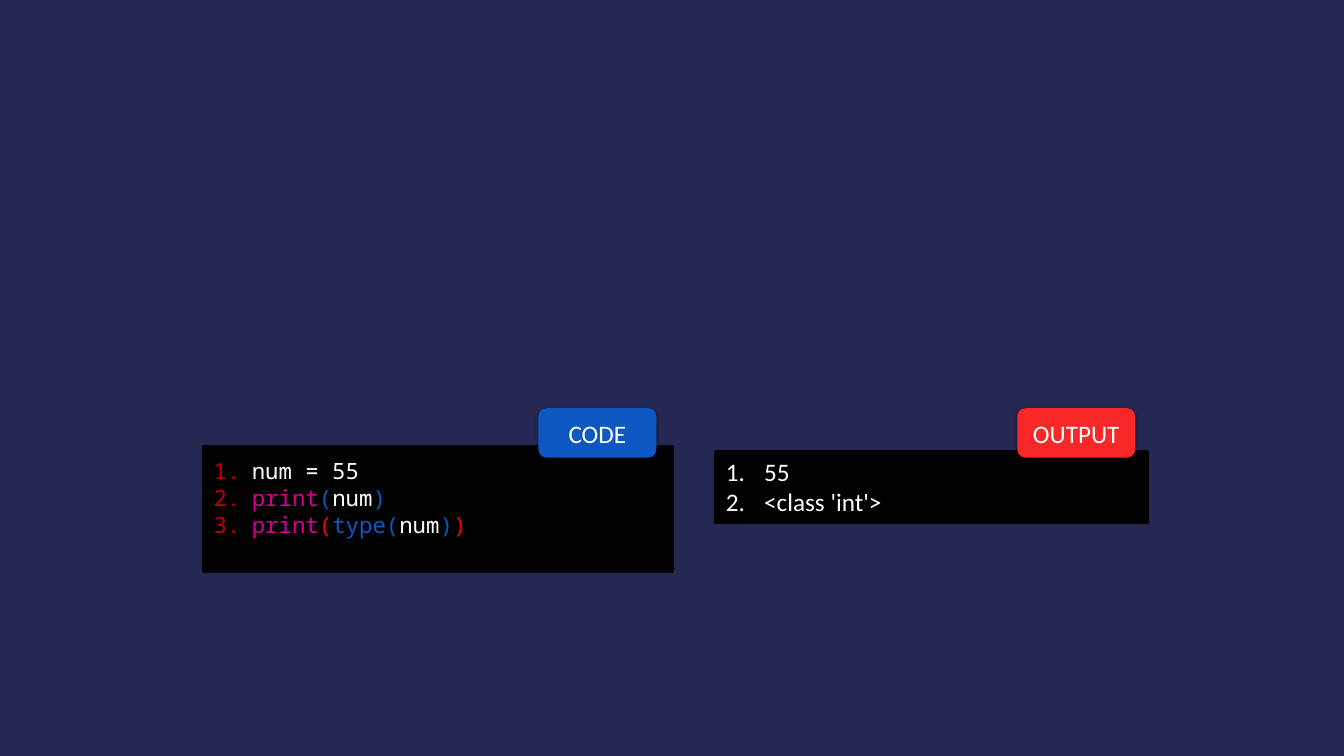
import pptx
import pptx.util
import pptx.dml.color
import pptx.enum.shapes
import pptx.enum.text
import pptx.oxml
import pptx.oxml.ns

HUES = {"back": "242852", "black": "000000", "white": "FFFFFF", "blue": "0E58C4",
        "red": "F82828", "pink": "D60093", "brace": "FF0000", "count": "C00000"}
CODE = [
    [("num = 55 ", "white")],
    [("print", "pink"), ("(", "blue"), ("num", "white"), (")", "blue")],
    [("print", "pink"), ("(", "brace"), ("type(", "blue"), ("num", "white"),
     (")", "blue"), (")", "brace")],
]
RESULT = [[("55", "white")], [("<class 'int'>", "white")]]

# Boxes are left, top, width, height in inches.
PARTS = [
    {"tag": "CODE", "hue": "blue", "panel": (2.02, 4.43, 4.65, 1.24),
     "text": (2.02, 4.49, 4.66, 1.18), "lines": CODE,
     "font": "Noto Sans Mono", "size": 16, "count": "count", "gap": 0.16},
    {"tag": "OUTPUT", "hue": "red", "panel": (7.1, 4.48, 4.28, 0.71),
     "text": None, "lines": RESULT,
     "font": "Calibri", "size": 18, "count": "white", "gap": 0.12},
]
TAG_TOP, TAG_WIDE, TAG_HIGH = 4.05, 1.17, 0.49
INDENT = pptx.util.Inches(0.38)
FORMS = pptx.enum.shapes.MSO_SHAPE


def color(name):
    """Return the named colour."""
    return pptx.dml.color.RGBColor.from_string(HUES[name])


def place(box):
    """Turn a box in inches into lengths."""
    return [pptx.util.Inches(side) for side in box]


def add_box(group, form, box, hue):
    """Add a plain filled shape without line or shadow."""
    shape = group.shapes.add_shape(form, *place(box))
    shape.shadow.inherit = False
    shape.fill.solid()
    shape.fill.fore_color.rgb = color(hue)
    shape.line.fill.background()
    return shape


def add_run(para, text, hue, font, size):
    """Add one run of styled text."""
    run = para.add_run()
    run.text = text
    run.font.name = font
    run.font.size = pptx.util.Pt(size)
    run.font.color.rgb = color(hue)


def add_panel(group, box):
    """Add a black panel with a black line."""
    panel = add_box(group, FORMS.RECTANGLE, box, "black")
    panel.line.color.rgb = color("black")
    panel.line.width = pptx.util.Pt(2)
    return panel


def add_tag(group, part):
    """Add the rounded label with a soft shadow on the panel's top edge."""
    left, top, wide, high = part["panel"]
    box = (left + wide - TAG_WIDE - part["gap"], TAG_TOP, TAG_WIDE, TAG_HIGH)
    tag = add_box(group, FORMS.ROUNDED_RECTANGLE, box, part["hue"])
    shade = pptx.oxml.parse_xml(
        f'<a:outerShdw {pptx.oxml.ns.nsdecls("a")} blurRad="{pptx.util.Pt(3.1)}" '
        f'dist="{pptx.util.Pt(1.8)}" dir="5400000" rotWithShape="0">'
        f'<a:srgbClr val="{HUES["black"]}"><a:alpha val="35000"/></a:srgbClr>'
        '</a:outerShdw>')
    tag._element.spPr.find(pptx.oxml.ns.qn("a:effectLst")).append(shade)
    frame = tag.text_frame
    frame.vertical_anchor = pptx.enum.text.MSO_ANCHOR.MIDDLE
    para = frame.paragraphs[0]
    para.alignment = pptx.enum.text.PP_ALIGN.CENTER
    add_run(para, part["tag"], "white", "Calibri", 18)


def add_list(shape, part):
    """Write numbered lines into a shape."""
    frame = shape.text_frame
    frame.word_wrap = True
    frame.vertical_anchor = pptx.enum.text.MSO_ANCHOR.TOP
    for row, line in enumerate(part["lines"]):
        para = frame.add_paragraph() if row else frame.paragraphs[0]
        para.alignment = pptx.enum.text.PP_ALIGN.LEFT
        props = para._p.get_or_add_pPr()
        props.set("marL", str(INDENT))
        props.set("indent", str(-INDENT))
        for mark in (f'<a:buClr {{}}><a:srgbClr val="{HUES[part["count"]]}"/></a:buClr>',
                     '<a:buFont {} typeface="+mj-lt"/>',
                     '<a:buAutoNum {} type="arabicPeriod"/>'):
            props.append(pptx.oxml.parse_xml(mark.format(pptx.oxml.ns.nsdecls("a"))))
        for text, hue in line:
            add_run(para, text, hue, part["font"], part["size"])


deck = pptx.Presentation()
deck.slide_width, deck.slide_height = place((13.33, 7.5))
slide = deck.slides.add_slide(deck.slide_layouts[6])
slide.background.fill.solid()
slide.background.fill.fore_color.rgb = color("back")

for part in PARTS:
    group = slide.shapes.add_group_shape()
    panel = add_panel(group, part["panel"])
    add_tag(group, part)
    if part["text"]:
        panel = group.shapes.add_textbox(*place(part["text"]))
    add_list(panel, part)

deck.save("out.pptx")
